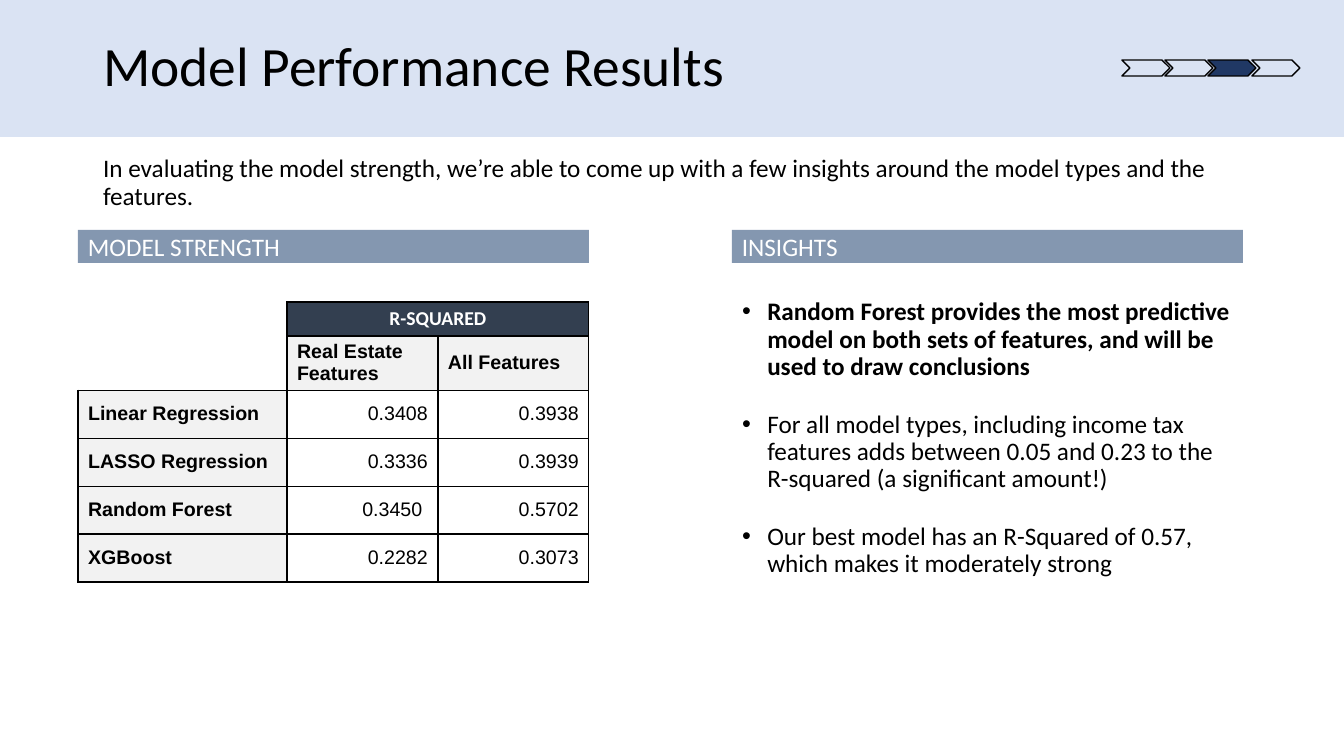
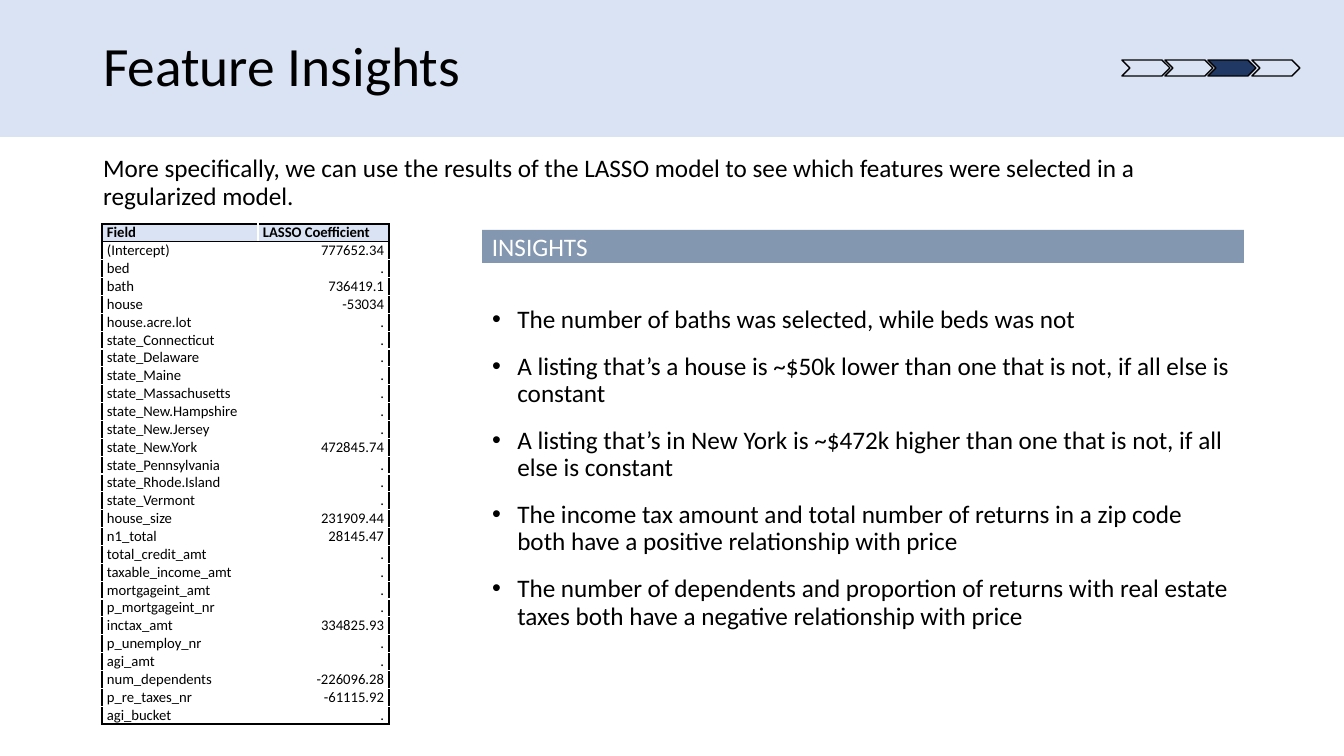
from lxml.etree import SubElement
from pptx import Presentation
from pptx.dml.color import RGBColor
from pptx.enum.shapes import MSO_SHAPE
from pptx.enum.text import MSO_ANCHOR, MSO_AUTO_SIZE, PP_ALIGN
from pptx.oxml import parse_xml
from pptx.oxml.ns import nsdecls, qn
from pptx.util import Pt

# Shared look
EMU_PER_PIXEL = 914400 / 100.8
BODY_FONT, TABLE_FONT = "Calibri", "Arial"
BLACK, WHITE = "000000", "FFFFFF"
PALE_BLUE, NAVY = "DAE3F3", "203864"
SLATE, DARK_SLATE, PALE_GREY = "8497B0", "333F50", "F2F2F2"
TITLE_BOX = (93, 32, 1159, 73)
INTRO_BOX = (93, 151, 1159, 73)
STEP_COUNT, CURRENT_STEP = 4, 2

# Content
STRENGTH_ROWS = [
    ("", "R-SQUARED", ""),
    ("", "Real Estate Features", "All Features"),
    ("Linear Regression", "0.3408", "0.3938"),
    ("LASSO Regression", "0.3336", "0.3939"),
    ("Random Forest", "0.3450 ", "0.5702"),
    ("XGBoost", "0.2282", "0.3073"),
]
STRENGTH_INSIGHTS = [
    "Random Forest provides the most predictive model on both sets of features, "
    "and will be used to draw conclusions",
    "For all model types, including income tax features adds between 0.05 and 0.23 "
    "to the R-squared (a significant amount!)",
    "Our best model has an R-Squared of 0.57, which makes it moderately strong",
]
COEFFICIENT_ROWS = [
    ("Field", "LASSO Coefficient"),
    ("(Intercept)", "777652.34"),
    ("bed", "."),
    ("bath", "736419.1"),
    ("house", "-53034"),
    ("house.acre.lot", "."),
    ("state_Connecticut", "."),
    ("state_Delaware", "."),
    ("state_Maine", "."),
    ("state_Massachusetts", "."),
    ("state_New.Hampshire", "."),
    ("state_New.Jersey", "."),
    ("state_New.York", "472845.74"),
    ("state_Pennsylvania", "."),
    ("state_Rhode.Island", "."),
    ("state_Vermont", "."),
    ("house_size", "231909.44"),
    ("n1_total", "28145.47"),
    ("total_credit_amt", "."),
    ("taxable_income_amt", "."),
    ("mortgageint_amt", "."),
    ("p_mortgageint_nr", "."),
    ("inctax_amt", "334825.93"),
    ("p_unemploy_nr", "."),
    ("agi_amt", "."),
    ("num_dependents", "-226096.28"),
    ("p_re_taxes_nr", "-61115.92"),
    ("agi_bucket", "."),
]
FEATURE_INSIGHTS = [
    "The number of baths was selected, while beds was not",
    "A listing that’s a house is ~$50k lower than one that is not, if all else is constant",
    "A listing that’s in New York is ~$472k higher than one that is not, "
    "if all else is constant",
    "The income tax amount and total number of returns in a zip code both have "
    "a positive relationship with price",
    "The number of dependents and proportion of returns with real estate taxes both have "
    "a negative relationship with price",
]


def px(pixels):
    return round(pixels * EMU_PER_PIXEL)


def color(hex_code):
    return RGBColor.from_string(hex_code)


def style_text(para, size, hex_code=BLACK, bold=False, font=BODY_FONT, align=PP_ALIGN.LEFT):
    para.alignment = align
    para.font.size = Pt(size)
    para.font.name = font
    para.font.bold = bold
    para.font.color.rgb = color(hex_code)


# Shapes
def add_block(shapes, kind, box, fill, line=None):
    block = shapes.add_shape(kind, *map(px, box))
    block.shadow.inherit = False
    block.fill.solid()
    block.fill.fore_color.rgb = color(fill)
    if line:
        block.line.color.rgb = color(line)
        block.line.width = Pt(1)
    else:
        block.line.fill.background()
    return block


def move_band_to_layout(page):
    band = add_block(page.shapes, MSO_SHAPE.RECTANGLE, (0, 0, 1344, 137), PALE_BLUE)
    page.slide_layout.shapes.element.insert(2, band.element)


def add_progress(page):
    steps = page.shapes.add_group_shape().shapes
    for step in range(STEP_COUNT):
        left = 1122 + 130 * step // (STEP_COUNT - 1)
        fill = NAVY if step == CURRENT_STEP else PALE_BLUE
        add_block(steps, MSO_SHAPE.CHEVRON, (left, 60, 48, 16), fill, BLACK)


def add_section_header(page, text, left, width):
    header = add_block(page.shapes, MSO_SHAPE.RECTANGLE, (left, 230, width, 33), SLATE)
    header.text_frame.text = text
    header.text_frame.vertical_anchor = MSO_ANCHOR.MIDDLE
    style_text(header.text_frame.paragraphs[0], 18, WHITE)


# Placeholders
def fill_placeholder(holder, box, lines, anchor=MSO_ANCHOR.TOP):
    holder.left, holder.top, holder.width, holder.height = map(px, box)
    frame = holder.text_frame
    frame.text = "\n".join(lines)
    frame.word_wrap = True
    frame.auto_size = MSO_AUTO_SIZE.NONE
    frame.vertical_anchor = anchor
    for para in frame.paragraphs:
        para.line_spacing = 0.9
    return frame.paragraphs


def add_heading(page, title, intro):
    paras = fill_placeholder(page.shapes.title, TITLE_BOX, [title], MSO_ANCHOR.MIDDLE)
    style_text(paras[0], 39.6)
    para = fill_placeholder(page.placeholders[1], INTRO_BOX, [intro])[0]
    properties = para._p.get_or_add_pPr()
    properties.set("marL", "0")
    properties.set("indent", "0")
    SubElement(properties, qn("a:buNone"))
    para.space_before = Pt(10)
    style_text(para, 18)
    add_progress(page)


def add_bullets(page, box, lines, gap, bold_first=False):
    for index, para in enumerate(fill_placeholder(page.placeholders[2], box, lines)):
        properties = para._p.get_or_add_pPr()
        properties.set("marL", "228600")
        properties.set("indent", "-228600")
        para.space_before = Pt(gap)
        style_text(para, 18, bold=bold_first and index == 0)


# Tables
def set_borders(cell, **sides):
    properties = cell._tc.get_or_add_tcPr()
    names = [name for name in ("L", "R", "T", "B") if name in sides]
    for position, name in enumerate(names):
        properties.insert(position, parse_xml(
            f'<a:ln{name} {nsdecls("a")} w="12700"><a:solidFill>'
            f'<a:srgbClr val="{sides[name]}"/></a:solidFill></a:ln{name}>'))


def fill_cell(cell, text, fill, anchor, **text_style):
    cell.text = text
    cell.vertical_anchor = anchor
    style_text(cell.text_frame.paragraphs[0], **text_style)
    if fill:
        cell.fill.solid()
        cell.fill.fore_color.rgb = color(fill)
    else:
        cell.fill.background()


def add_grid(page, left, top, widths, heights):
    frame = page.shapes.add_table(len(heights), len(widths), px(left), px(top),
                                  px(sum(widths)), px(sum(heights)))
    table = frame.table
    table.first_row = table.horz_banding = False
    for column, width in zip(table.columns, widths):
        column.width = px(width)
    for row, height in zip(table.rows, heights):
        row.height = px(height)
    return table


def add_strength_table(page):
    table = add_grid(page, 78, 302, [209, 151, 151], [34, 54] + [48] * 4)
    for row, texts in enumerate(STRENGTH_ROWS):
        for column, text in enumerate(texts):
            cell = table.cell(row, column)
            is_corner = row < 2 and column == 0
            is_value = row > 1 and column > 0
            fill, text_color, font, align = PALE_GREY, BLACK, TABLE_FONT, PP_ALIGN.LEFT
            if is_corner:
                fill, font = WHITE, BODY_FONT
            elif row == 0:
                fill, text_color, font, align = DARK_SLATE, WHITE, BODY_FONT, PP_ALIGN.CENTER
            elif is_value:
                fill, align = WHITE, PP_ALIGN.RIGHT
            fill_cell(cell, text, fill, MSO_ANCHOR.MIDDLE, size=14, hex_code=text_color,
                      bold=not is_value, font=font, align=align)
            if not is_corner:
                set_borders(cell, L=BLACK, R=BLACK, T=BLACK, B=BLACK)
            elif row == 0:
                set_borders(cell, R=BLACK)
            else:
                set_borders(cell, R=BLACK, B=BLACK)
    table.cell(0, 1).merge(table.cell(0, 2))


def add_coefficient_table(page):
    last = len(COEFFICIENT_ROWS) - 1
    table = add_grid(page, 102, 224, [156, 131], [17] * len(COEFFICIENT_ROWS))
    for row, texts in enumerate(COEFFICIENT_ROWS):
        for column, text in enumerate(texts):
            cell = table.cell(row, column)
            is_header = row == 0
            align = PP_ALIGN.RIGHT if column and not is_header else PP_ALIGN.LEFT
            fill_cell(cell, text, PALE_BLUE if is_header else None, MSO_ANCHOR.BOTTOM,
                      size=10.5, bold=is_header, align=align)
            cell.margin_left = cell.margin_right = px(5)
            cell.margin_top = cell.margin_bottom = 0
            set_borders(cell,
                        L=WHITE if column else BLACK,
                        R=BLACK if column else WHITE,
                        T=BLACK if row < 2 else WHITE,
                        B=BLACK if row in (0, last) else WHITE)


# Slides
def build_performance(page):
    add_heading(page, "Model Performance Results",
                "In evaluating the model strength, we’re able to come up with a few insights "
                "around the model types and the features.")
    add_bullets(page, (732, 294, 511, 360), STRENGTH_INSIGHTS, 22, bold_first=True)
    add_strength_table(page)
    add_section_header(page, "MODEL STRENGTH", 78, 511)
    add_section_header(page, "INSIGHTS", 732, 511)


def build_features(page):
    add_heading(page, "Feature Insights",
                "More specifically, we can use the results of the LASSO model to see which "
                "features were selected in a regularized model.")
    add_coefficient_table(page)
    add_section_header(page, "INSIGHTS", 482, 762)
    add_bullets(page, (482, 302, 762, 360), FEATURE_INSIGHTS, 14)


def main():
    deck = Presentation()
    deck.slide_width, deck.slide_height = px(1344), px(756)
    layout = deck.slide_layouts.get_by_name("Two Content")
    performance, features = (deck.slides.add_slide(layout) for _ in range(2))
    move_band_to_layout(performance)
    build_performance(performance)
    build_features(features)
    deck.save("out.pptx")


main()
